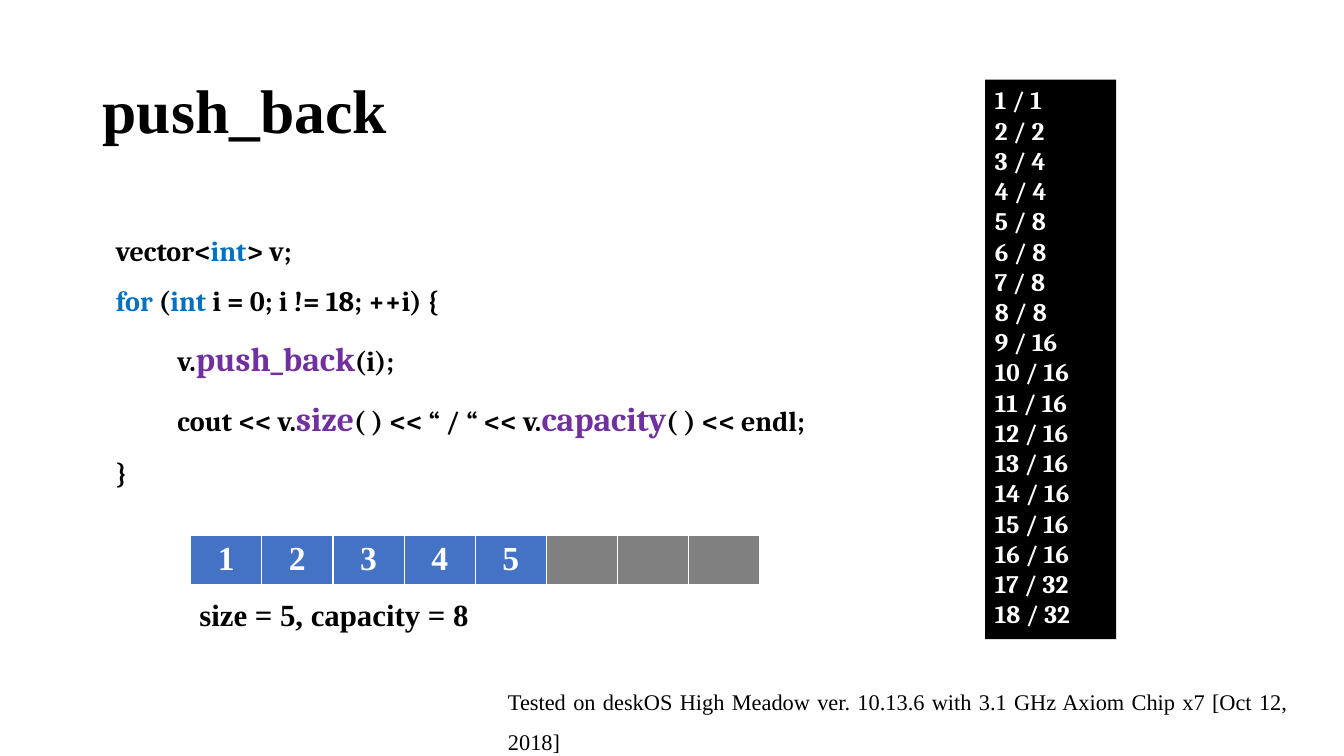
import dataclasses
import typing

import pptx
import pptx.dml.color
import pptx.enum.shapes
import pptx.enum.text
import pptx.oxml
import pptx.oxml.ns
import pptx.util

Inches = pptx.util.Inches
Align = pptx.enum.text.PP_ALIGN
Anchor = pptx.enum.text.MSO_ANCHOR


@dataclasses.dataclass(frozen=True)
class Theme:
    body_font: str = "Times New Roman"
    code_font: str = "Cambria"
    black: str = "000000"
    white: str = "FFFFFF"
    keyword: str = "0070C0"
    method: str = "7030A0"
    used: str = "4472C4"
    spare: str = "808080"
    title_size: int = 44
    large_size: int = 24
    caption_size: int = 22
    code_size: int = 20
    output_size: int = 18
    note_size: int = 16


THEME = Theme()


@dataclasses.dataclass(frozen=True)
class Span:
    text: str
    size: int = THEME.code_size
    color: str = THEME.black
    font: str = THEME.code_font
    bold: bool = True


@dataclasses.dataclass(frozen=True)
class Area:
    left: float
    top: float
    width: float
    height: float

    def lengths(self) -> tuple:
        return tuple(Inches(value) for value in dataclasses.astuple(self))


Line = typing.Sequence[Span]


def keyword(text: str) -> Span:
    return Span(text, color=THEME.keyword)


def method(text: str) -> Span:
    return Span(text, THEME.large_size, THEME.method)


def body(text: str, size: int, color: str = THEME.black, bold: bool = True) -> Span:
    return Span(text, size, color, THEME.body_font, bold)


def rgb(color: str) -> pptx.dml.color.RGBColor:
    return pptx.dml.color.RGBColor.from_string(color)


def write_lines(frame, lines: typing.Sequence[Line], align=Align.LEFT,
                spacing: float = 1.0) -> None:
    for index, line in enumerate(lines):
        para = frame.paragraphs[0] if index == 0 else frame.add_paragraph()
        para.alignment = align
        para.line_spacing = spacing
        for span in line:
            run = para.add_run()
            run.text = span.text
            run.font.name = span.font
            run.font.size = pptx.util.Pt(span.size)
            run.font.bold = span.bold
            run.font.color.rgb = rgb(span.color)


def add_text(page, area: Area, lines: typing.Sequence[Line], align=Align.LEFT,
             spacing: float = 1.0, anchor=Anchor.TOP, wrap: bool = True) -> None:
    box = page.shapes.add_textbox(*area.lengths())
    box.text_frame.word_wrap = wrap
    box.text_frame.vertical_anchor = anchor
    write_lines(box.text_frame, lines, align, spacing)


def add_console(page, area: Area, lines: typing.Sequence[Line]) -> None:
    console = page.shapes.add_shape(
        pptx.enum.shapes.MSO_SHAPE.RECTANGLE, *area.lengths())
    console.shadow.inherit = False
    console.fill.solid()
    console.fill.fore_color.rgb = rgb(THEME.black)
    console.line.fill.background()
    console.text_frame.word_wrap = True
    console.text_frame.vertical_anchor = Anchor.TOP
    write_lines(console.text_frame, lines)


def add_borders(cell) -> None:
    properties = cell._tc.get_or_add_tcPr()
    for side, points in {"L": 1, "R": 1, "T": 1, "B": 3}.items():
        properties.append(pptx.oxml.parse_xml(
            f'<a:ln{side} {pptx.oxml.ns.nsdecls("a")} w="{pptx.util.Pt(points)}">'
            f'<a:solidFill><a:srgbClr val="{THEME.white}"/></a:solidFill>'
            f'</a:ln{side}>'))


def add_vector(page, area: Area, size: int, capacity: int) -> None:
    table = page.shapes.add_table(1, capacity, *area.lengths()).table
    for column in table.columns:
        column.width = Inches(area.width / capacity)
    for index in range(capacity):
        cell = table.cell(0, index)
        add_borders(cell)
        cell.fill.solid()
        cell.fill.fore_color.rgb = rgb(THEME.used if index < size else THEME.spare)
        if index < size:
            label = body(str(index + 1), THEME.large_size, THEME.white)
            write_lines(cell.text_frame, [[label]], Align.CENTER)


def main() -> None:
    deck = pptx.Presentation()
    deck.slide_width, deck.slide_height = Inches(13.33), Inches(7.5)
    page = deck.slides.add_slide(deck.slide_layouts[6])

    # Title
    add_text(page, Area(0.92, 0.4, 11.5, 1.45),
             [[body("push_back", THEME.title_size)]], spacing=0.9,
             anchor=Anchor.MIDDLE)

    # Code listing
    indent = " " * 10
    code = [
        [Span("vector<"), keyword("int"), Span("> v;")],
        [keyword("for "), Span("("), keyword("int "), Span("i = 0; i != 18; ++i) {")],
        [Span(indent + "v."), method("push_back"), Span("(i);")],
        [Span(indent + "cout << v."), method("size"), Span("( ) << “ / “ << v."),
         method("capacity"), Span("( ) << endl;")],
        [Span("}")],
    ]
    add_text(page, Area(1.05, 2.1, 7.35, 2.76), code, Align.JUSTIFY, 1.5)

    # Test environment
    note = ("Tested on deskOS High Meadow ver. 10.13.6 with 3.1 GHz "
            "Axiom Chip x7 [Oct 12, 2018]")
    add_text(page, Area(4.94, 6.64, 7.93, 0.46),
             [[body(note, THEME.note_size, bold=False)]], Align.JUSTIFY, 1.5)

    # Program output: capacity is the next power of two
    output = [[Span(f"{size} / {1 << (size - 1).bit_length()}",
                    THEME.output_size, THEME.white)] for size in range(1, 19)]
    add_console(page, Area(9.77, 0.79, 1.3, 5.55), output)

    # Vector cells and caption
    size, capacity = 5, 8
    add_vector(page, Area(1.89, 5.31, 5.65, 0.41), size, capacity)
    caption = f"size = {size}, capacity = {capacity}"
    add_text(page, Area(1.88, 5.86, 2.9, 0.47),
             [[body(caption, THEME.caption_size)]], wrap=False)

    deck.save("out.pptx")


if __name__ == "__main__":
    main()
